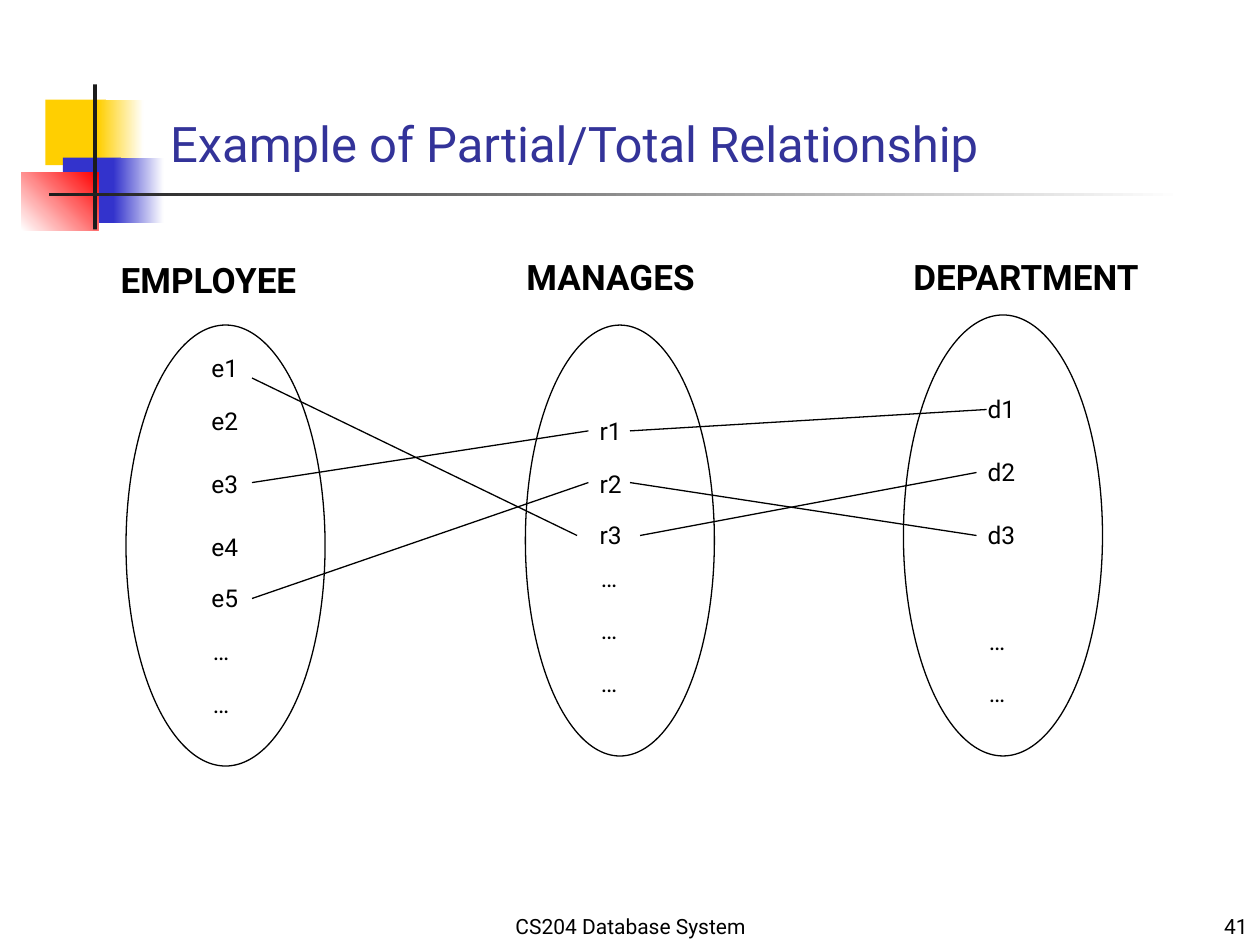
from pptx import Presentation
from pptx.dml.color import RGBColor
from pptx.enum import shapes, text
from pptx.oxml.ns import qn
from pptx.util import Inches, Pt
from lxml import etree

BLACK = RGBColor(0x00, 0x00, 0x00)
WHITE = RGBColor(0xFF, 0xFF, 0xFF)
YELLOW = RGBColor(0xFF, 0xCF, 0x01)
BLUE = RGBColor(0x33, 0x33, 0xCC)
RED = RGBColor(0xFF, 0x00, 0x00)
CHARCOAL = RGBColor(0x1C, 0x1C, 0x1C)
TITLE_BLUE = RGBColor(0x33, 0x33, 0x99)
FONT = "Roboto"

deck = Presentation()
deck.slide_width, deck.slide_height = Inches(10), Inches(7.5)
page = deck.slides.add_slide(deck.slide_layouts[5])


def write(box, words, size, color=BLACK, bold=False, align=text.PP_ALIGN.LEFT):
    para = box.text_frame.paragraphs[0]
    para.text = words
    para.alignment = align
    para.font.name, para.font.size = FONT, Pt(size)
    para.font.bold, para.font.color.rgb = bold, color


def add_label(words, left, top, width, height, size, bold=False):
    box = page.shapes.add_textbox(*map(Inches, (left, top, width, height)))
    box.text_frame.word_wrap = False
    box.text_frame.auto_size = text.MSO_AUTO_SIZE.SHAPE_TO_FIT_TEXT
    write(box, words, size, bold=bold)


ornaments = [
    (0.36, 0.79, 0.48, 0.52, YELLOW, None, 0),
    (0.78, 0.79, 0.36, 0.52, YELLOW, WHITE, 0),
    (0.5, 1.25, 0.46, 0.52, BLUE, None, 0),
    (0.9, 1.25, 0.4, 0.52, BLUE, WHITE, 0),
    (0.17, 1.37, 0.61, 0.46, WHITE, RED, 45),
    (0.74, 0.67, 0.03, 1.15, CHARCOAL, None, 0),
    (0.39, 1.53, 9, 0.03, CHARCOAL, WHITE, 0),
]
for left, top, width, height, start, end, angle in ornaments:
    block = page.shapes.add_shape(
        shapes.MSO_SHAPE.RECTANGLE, *map(Inches, (left, top, width, height)))
    block.shadow.inherit = False
    block.line.fill.background()
    if end is None:
        block.fill.solid()
        block.fill.fore_color.rgb = start
    else:
        block.fill.gradient()
        block.fill.gradient_angle = angle
        for stop, color, position in zip(block.fill.gradient_stops, (start, end), (0, 1)):
            stop.color.rgb, stop.position = color, position

title = page.shapes.title
title.left, title.top = Inches(1.25), Inches(0.75)
title.width, title.height = Inches(8.52), Inches(0.67)
title.text_frame.auto_size = text.MSO_AUTO_SIZE.NONE
title.text_frame.vertical_anchor = text.MSO_ANCHOR.BOTTOM
write(title, "Example of Partial/Total Relationship", 28, TITLE_BLUE)

footers = [
    ("CS204 Database System", 3.42, 3.17, text.PP_ALIGN.CENTER),
    ("41", 7.92, 2.08, text.PP_ALIGN.RIGHT),
]
for words, left, width, align in footers:
    box = page.shapes.add_textbox(Inches(left), Inches(7.08), Inches(width), Inches(0.42))
    box.text_frame.word_wrap = True
    box.text_frame.vertical_anchor = text.MSO_ANCHOR.BOTTOM
    write(box, words, 12, align=align)

entity_sets = [
    (("EMPLOYEE", 0.86, 2, 1.66), (1, 2.58, 1.58, 3.5), 1.58, 0.42,
     [("e1", 2.75), ("e2", 3.17), ("e3", 3.67), ("e4", 4.17), ("e5", 4.58),
      ("…", 5), ("…", 5.42)]),
    (("MANAGES", 4.08, 1.98, 1.58), (4.17, 2.58, 1.5, 3.42), 4.66, 0.39,
     [("r1", 3.25), ("r2", 3.67), ("r3", 4.08), ("…", 4.42), ("…", 4.83), ("…", 5.25)]),
    (("DEPARTMENT", 7.15, 1.98, 2.08), (7.17, 2.5, 1.58, 3.5), 7.74, 0.43,
     [("d1", 3.08), ("d2", 3.58), ("d3", 4.08), ("…", 4.92), ("…", 5.33)]),
]
for heading, outline, member_left, member_width, members in entity_sets:
    oval = page.shapes.add_shape(shapes.MSO_SHAPE.OVAL, *map(Inches, outline))
    oval.shadow.inherit = False
    oval.fill.background()
    oval.line.color.rgb, oval.line.width = BLACK, Pt(0.75)
    add_label(*heading, 0.44, 20, bold=True)
    for member, top in members:
        if member == "…":
            add_label(member, member_left + 0.01, top, 0.35, 0.34, 14)
        else:
            add_label(member, member_left, top, member_width, 0.34, 14)

links = [
    (2, 3, 4.58, 4.25),
    (5, 3.42, 7.83, 3.25),
    (2, 3.83, 4.67, 3.42),
    (5, 3.83, 7.75, 4.25),
    (2, 4.75, 4.67, 3.83),
    (5.08, 4.25, 7.75, 3.75),
]
for ends in links:
    link = page.shapes.add_connector(shapes.MSO_CONNECTOR.STRAIGHT, *map(Inches, ends))
    link.line.color.rgb, link.line.width = BLACK, Pt(0.75)
    etree.SubElement(link._element.spPr, qn("a:effectLst"))

deck.save("out.pptx")
